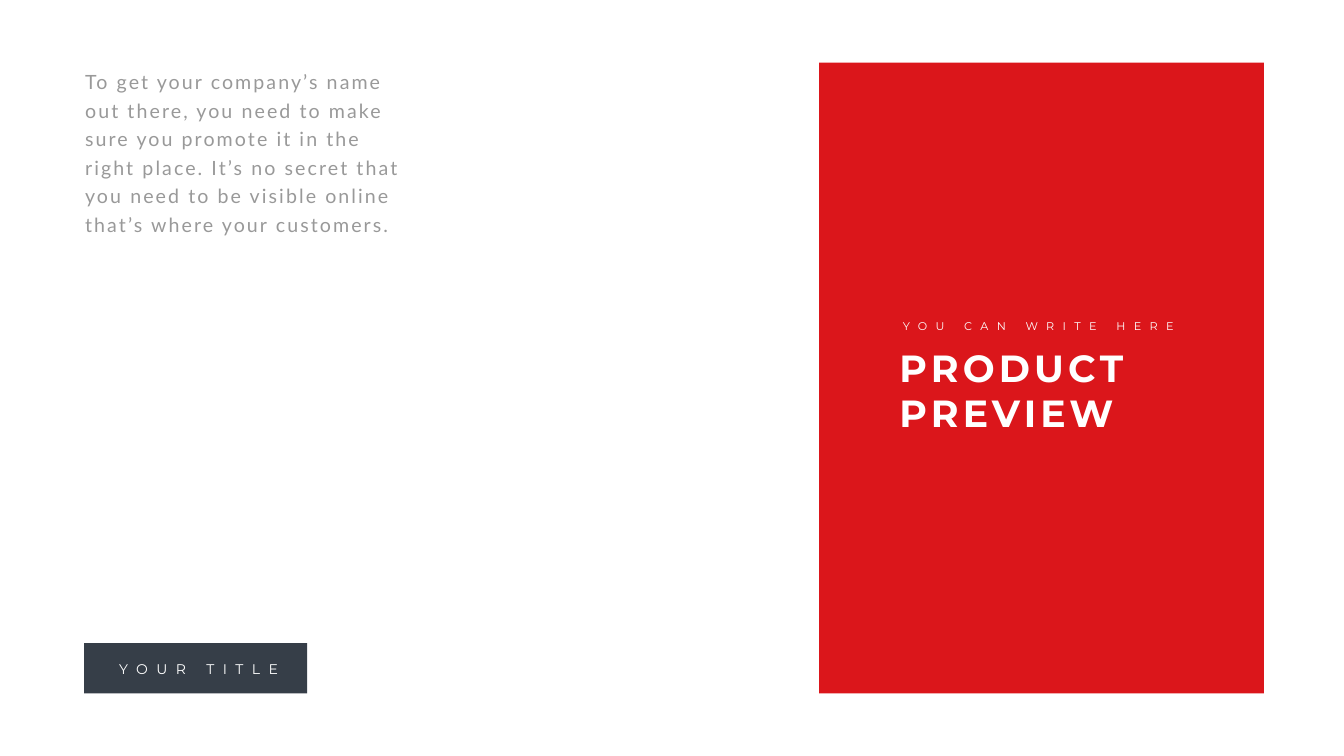
from pptx import Presentation
from pptx.dml.color import RGBColor
from pptx.enum.shapes import MSO_SHAPE
from pptx.enum.text import MSO_ANCHOR, MSO_AUTO_SIZE, PP_ALIGN
from pptx.util import Pt

PX = 9144  # EMU per px, at 100 px to the inch
RED = RGBColor(0xDB, 0x16, 0x1B)
SLATE = RGBColor(0x36, 0x3E, 0x48)
GREY = RGBColor(0x99, 0x99, 0x99)
WHITE = RGBColor(0xFF, 0xFF, 0xFF)
RECT = MSO_SHAPE.RECTANGLE
TOP = MSO_ANCHOR.TOP
FIT = MSO_AUTO_SIZE.SHAPE_TO_FIT_TEXT
LEFT, CENTER = PP_ALIGN.LEFT, PP_ALIGN.CENTER

deck = Presentation()
deck.slide_width, deck.slide_height = 2666 * PX, 1500 * PX
slide = deck.slides.add_slide(deck.slide_layouts[5])
shapes = slide.shapes


def style(shape, text, font, size, color, track, wrap=True, align=LEFT):
    """Fill a shape with one paragraph; track is the letter spacing in points."""
    frame = shape.text_frame
    frame.text = text
    frame.word_wrap = wrap
    frame.auto_size = FIT
    frame.vertical_anchor = TOP
    para = frame.paragraphs[0]
    para.alignment = align
    para.font.name = font
    para.font.size = Pt(size)
    para.font.color.rgb = color
    para.runs[0]._r.get_or_add_rPr().set("spc", str(track * 100))
    return para


# Red panel and slate label
for color, *box in (
    (RED, 1625, 124, 882, 1252),
    (SLATE, 167, 1276, 442, 100),
):
    block = shapes.add_shape(RECT, *(n * PX for n in box))
    block.shadow.inherit = False
    block.fill.solid()
    block.fill.fore_color.rgb = color
    block.line.fill.background()

# Title, raised above the panel
title = shapes.title
title.left, title.top, title.width, title.height = (
    n * PX for n in (1774, 679, 578, 192)
)
block.element.addnext(title.element)
head = style(title, "PRODUCT PREVIEW", "Montserrat", 54, WHITE, 6)
head.font.bold = True

# Body text
body = shapes.add_textbox(159 * PX, 124 * PX, 660 * PX, 349 * PX)
intro = style(
    body,
    "To get your company’s name out there, you need to make sure you promote "
    "it in the right place. It’s no secret that you need to be visible online "
    "that’s where your customers.",
    "Lato", 28, GREY, 3,
)
intro.line_spacing = Pt(40.8)

# Spaced captions
for text, size, align, *box in (
    ("YOU CAN WRITE HERE", 16, LEFT, 1781, 629, 578, 37),
    ("YOUR TITLE", 20, CENTER, 216, 1306, 356, 44),
):
    label = shapes.add_textbox(*(n * PX for n in box))
    style(label, text, "Montserrat", size, WHITE, 12, wrap=False, align=align)

deck.save("out.pptx")
